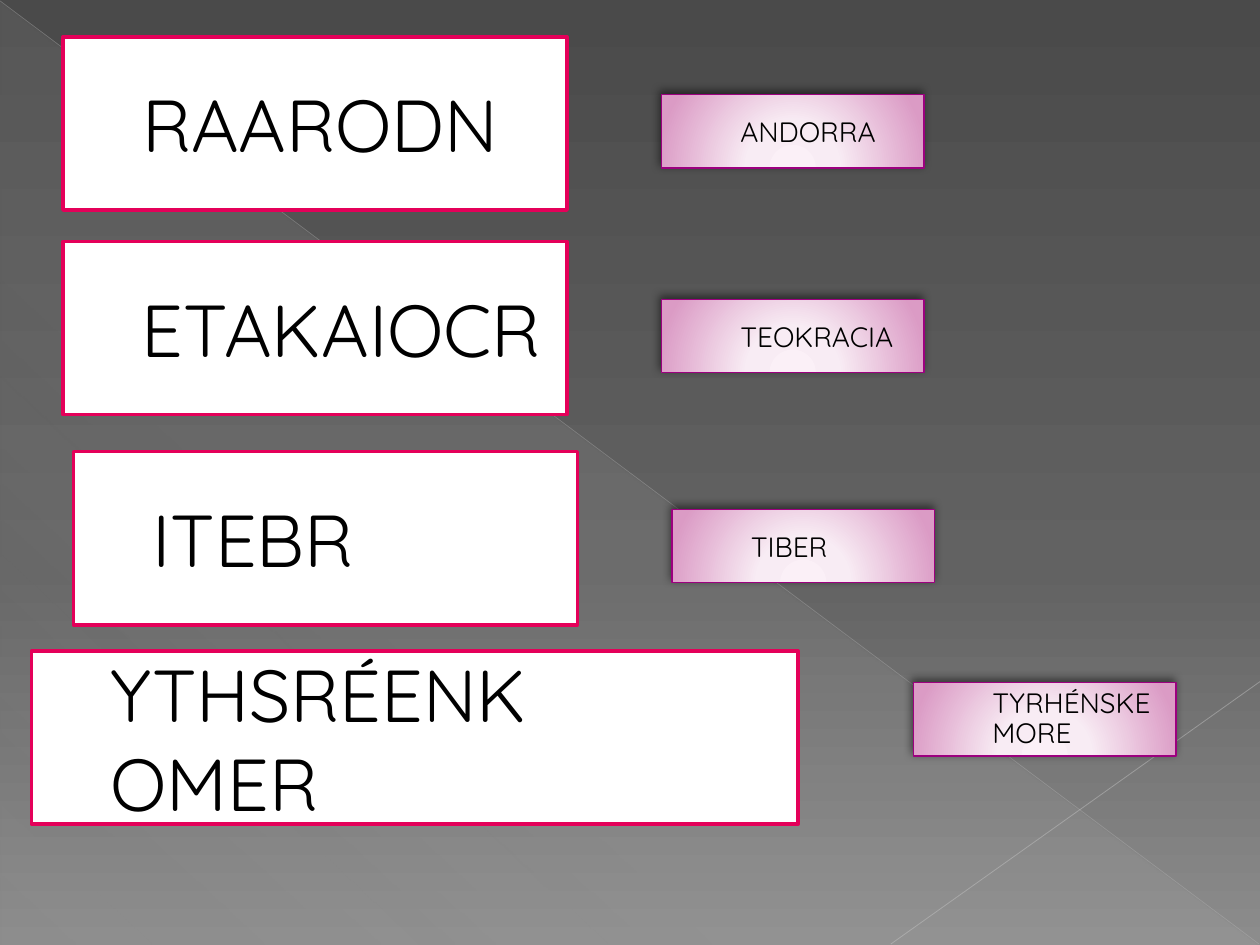
from lxml import etree
from pptx import Presentation
from pptx.dml.color import RGBColor
from pptx.enum import shapes, text
from pptx.oxml import ns
from pptx.util import Pt

BLACK = RGBColor(0x00, 0x00, 0x00)
WHITE = RGBColor(0xFF, 0xFF, 0xFF)
CRIMSON = RGBColor(0xE4, 0x00, 0x59)
PURPLE = RGBColor(0x9C, 0x00, 0x7F)
PINK_PALE = RGBColor(0xFB, 0xF0, 0xF7)
PINK_LIGHT = RGBColor(0xF8, 0xEC, 0xF4)
PINK = RGBColor(0xDB, 0x9B, 0xC5)
CHARCOAL = RGBColor(0x4A, 0x4A, 0x4A)
SLATE = RGBColor(0x62, 0x62, 0x62)
ASH = RGBColor(0x8C, 0x8C, 0x8C)
MIST = RGBColor(0xD2, 0xD2, 0xD2)
SILVER = RGBColor(0xBF, 0xBF, 0xBF)
SILVER_LIGHT = RGBColor(0xC6, 0xC6, 0xC6)

FONT = "Quicksand"
PUZZLES = [
    ("RAARODN", "ANDORRA", (36, 21, 288), (342, 33)),
    ("ETAKAIOCR", "TEOKRACIA", (36, 138, 288), (342, 33)),
    ("ITEBR", "TIBER", (42, 258, 288), (342, 33)),
    ("YTHSRÉENK\vOMER", "TYRHÉNSKE MORE", (18, 372, 438), (504, 18)),
]


def add(parent, tag, **attributes):
    values = {name: str(value) for name, value in attributes.items()}
    return etree.SubElement(parent, ns.qn(tag), values)


def set_alpha(color, percent):
    add(color, "a:alpha", val=percent * 1000)


def paint_gradient(properties, stops, angle=None, focus=None):
    solid = properties.find(ns.qn("a:solidFill"))
    gradient = etree.Element(ns.qn("a:gradFill"), rotWithShape="1")
    stop_list = add(gradient, "a:gsLst")
    for position, color, alpha in stops:
        stop = add(stop_list, "a:gs", pos=position * 1000)
        set_alpha(add(stop, "a:srgbClr", val=color), alpha)
    if focus:
        circle = add(gradient, "a:path", path="circle")
        add(circle, "a:fillToRect", **{side: value * 1000 for side, value in zip("ltrb", focus)})
    else:
        add(gradient, "a:lin", ang=angle * 60000, scaled=0)
    properties.replace(solid, gradient)


def write(shape, wording, size, spacing=1.0):
    frame = shape.text_frame
    frame.text = wording
    frame.word_wrap = True
    frame.auto_size = text.MSO_AUTO_SIZE.NONE
    frame.vertical_anchor = text.MSO_ANCHOR.MIDDLE
    paragraph = frame.paragraphs[0]
    properties = paragraph._p.get_or_add_pPr()
    properties.set("marL", str(Pt(38)))
    properties.set("indent", "0")
    paragraph.alignment = text.PP_ALIGN.LEFT
    paragraph.line_spacing = spacing
    for run in paragraph.runs:
        run.font.name = FONT
        run.font.size = Pt(size)
        run.font.color.rgb = BLACK


def outline(shape, color, width):
    shape.line.color.rgb = color
    shape.line.width = Pt(width)


def add_ray(slide, start, end, color, width, alpha):
    ray = slide.shapes.add_connector(
        shapes.MSO_CONNECTOR.STRAIGHT, *(Pt(value) for value in start + end))
    outline(ray, color, width)
    properties = ray._element.spPr
    set_alpha(properties.find(".//" + ns.qn("a:srgbClr")), alpha)
    add(properties, "a:effectLst")


def add_rectangle(slide, left, top, width, height, kind=shapes.MSO_SHAPE.RECTANGLE):
    shape = slide.shapes.add_shape(kind, Pt(left), Pt(top), Pt(width), Pt(height))
    shape.shadow.inherit = False
    shape.fill.solid()
    return shape


def draw_backdrop(slide, left, top, width, height):
    slide.background.fill.solid()
    paint_gradient(slide.element.find(".//" + ns.qn("p:bgPr")),
                   [(0, CHARCOAL, 100), (60, SLATE, 100), (100, ASH, 100)], angle=90)
    corner = add_rectangle(slide, left + 0.5, top + 1, width - 1, height - 1,
                           shapes.MSO_SHAPE.RIGHT_TRIANGLE)
    corner.line.fill.background()
    paint_gradient(corner._element.spPr,
                   [(0, MIST, 10), (70, MIST, 8), (100, MIST, 1)], angle=133)
    right, bottom = left + width, top + height
    add_ray(slide, (left, top + 0.5), (right - 0.5, bottom - 0.5), SILVER, 0.39, 35)
    add_ray(slide, (right, bottom - 150.5), (right - 211, bottom - 0.5), SILVER_LIGHT, 0.47, 45)


def draw_scramble(slide, wording, left, top, width, height, title=None):
    if title is not None:
        card = title
        slide.shapes._spTree.append(title._element)
        card.left, card.top, card.width, card.height = map(Pt, (left, top, width, height))
        card.fill.solid()
    else:
        card = add_rectangle(slide, left, top, width, height)
    card.fill.fore_color.rgb = WHITE
    outline(card, CRIMSON, 2)
    write(card, wording, 42)


def draw_answer(slide, wording, left, top, width, height):
    card = add_rectangle(slide, left, top, width, height)
    paint_gradient(card._element.spPr,
                   [(0, PINK_PALE, 100), (34, PINK_LIGHT, 100), (100, PINK, 100)],
                   focus=(50, 155, 50, -55))
    outline(card, PURPLE, 0.75)
    effects = card._element.spPr.find(ns.qn("a:effectLst"))
    shadow = add(effects, "a:outerShdw", blurRad=Pt(5), dist=Pt(2),
                 dir=245 * 60000, rotWithShape=0)
    set_alpha(add(shadow, "a:srgbClr", val=BLACK), 50)
    write(card, wording, 16, spacing=0.9 if " " in wording else 1.0)


def main():
    deck = Presentation()
    deck.slide_width, deck.slide_height = Pt(720), Pt(540)
    slide = deck.slides.add_slide(deck.slide_layouts[5])
    draw_backdrop(slide, 0, 0, 720, 540)
    for index, (scramble, answer, (left, top, width), (across, down)) in enumerate(PUZZLES):
        title = slide.shapes.title if index == 0 else None
        draw_scramble(slide, scramble, left, top, width, 99, title)
        draw_answer(slide, answer, left + across, top + down, 150, 42)
    deck.save("out.pptx")


if __name__ == "__main__":
    main()
